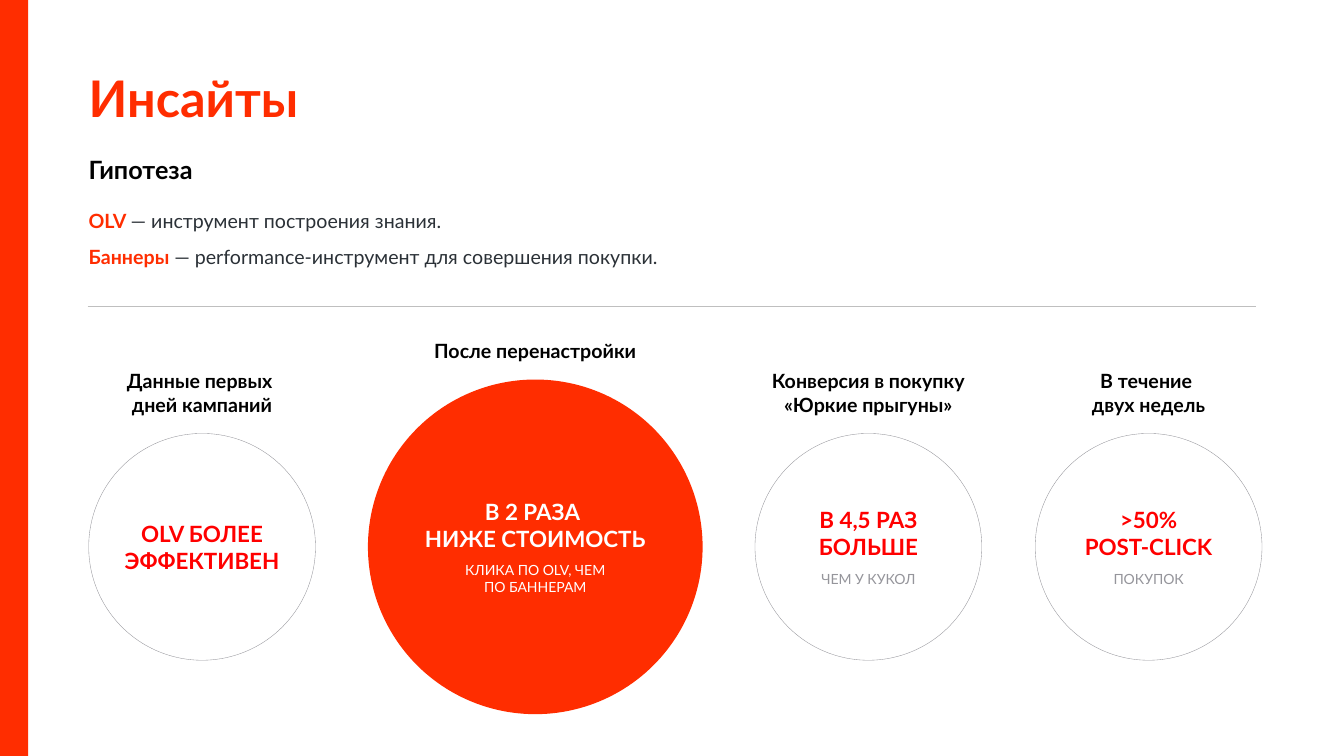
from dataclasses import dataclass

from lxml import etree
from pptx import Presentation
from pptx.dml.color import RGBColor
from pptx.enum.shapes import MSO_CONNECTOR, MSO_SHAPE
from pptx.enum.text import MSO_ANCHOR, PP_ALIGN
from pptx.oxml.ns import qn
from pptx.util import Inches, Pt

OVAL, RECT = MSO_SHAPE.OVAL, MSO_SHAPE.RECTANGLE
STRAIGHT = MSO_CONNECTOR.STRAIGHT
TOP, MIDDLE = MSO_ANCHOR.TOP, MSO_ANCHOR.MIDDLE
LEFT, CENTER = PP_ALIGN.LEFT, PP_ALIGN.CENTER

SLIDE_W, SLIDE_H = Inches(13.333), Inches(7.5)
COLS, ROWS = 160, 90
TITLE_ONLY = 5
CIRCLE_MIDDLE = 65.1
HEADING_GAP = 1.44


@dataclass(frozen=True)
class Theme:
    font: str = "Lato"
    accent: str = "FF2D00"
    value: str = "FF0000"
    black: str = "000000"
    body: str = "2B3137"
    muted: str = "95959B"
    rule: str = "BFBFBF"
    white: str = "FFFFFF"
    title_size: int = 36
    subtitle_size: int = 18
    text_size: int = 14
    value_size: int = 16
    caption_size: int = 10


@dataclass(frozen=True)
class Stat:
    center: float
    heading: tuple
    heading_width: float
    value: tuple
    caption: str = ""
    caption_lines: int = 0
    caption_width: float = 16.56
    value_width: float = 24
    diameter: float = 27
    filled: bool = False


THEME = Theme()

STATS = (
    Stat(24.06, ("Данные первых ", "дней кампаний"), 24,
         ("OLV БОЛЕЕ", "ЭФФЕКТИВЕН")),
    Stat(63.72, ("После перенастройки",), 32.64,
         ("В 2 РАЗА ", "НИЖЕ СТОИМОСТЬ"),
         "КЛИКА ПО OLV, ЧЕМ ПО БАННЕРАМ", 2, caption_width=21.48,
         value_width=29.88, diameter=39.84, filled=True),
    Stat(103.38, ("Конверсия в покупку", "«Юркие прыгуны»"), 31.2,
         ("В 4,5 РАЗ", "БОЛЬШЕ"), "ЧЕМ У КУКОЛ", 1),
    Stat(136.74, ("В течение ", "двух недель"), 22.44,
         (">50%", "POST-CLICK"), "ПОКУПОК", 1),
)


def col(n):
    return round(SLIDE_W * n / COLS)


def row(n):
    return round(SLIDE_H * n / ROWS)


def box(left, top, width, height):
    return col(left), row(top), col(width), row(height)


def text_height(lines, size):
    return 1.2 + lines * size * 0.2


def write(tf, lines, size, color=THEME.black, bold=False, align=LEFT,
          anchor=TOP, spacing=None):
    tf.word_wrap = True
    tf.vertical_anchor = anchor
    tf.margin_left = tf.margin_right = Inches(0.1)
    tf.margin_top = tf.margin_bottom = Inches(0.05)
    for i, line in enumerate(lines):
        p = tf.add_paragraph() if i else tf.paragraphs[0]
        p.alignment = align
        p.line_spacing = spacing
        runs = [(line, color, bold)] if isinstance(line, str) else line
        for text, run_color, run_bold in runs:
            r = p.add_run()
            r.text = text
            r.font.name = THEME.font
            r.font.size = Pt(size)
            r.font.bold = run_bold
            r.font.color.rgb = RGBColor.from_string(run_color)


def add_text(s, place, lines, size, **style):
    sp = s.shapes.add_textbox(*box(*place))
    write(sp.text_frame, lines, size, **style)


def add_title(s, place, text):
    sp = s.shapes.title
    sp.left, sp.top, sp.width, sp.height = box(*place)
    write(sp.text_frame, [text], THEME.title_size, color=THEME.accent,
          bold=True, anchor=MIDDLE)


def add_figure(s, kind, place, fill, line=None):
    sp = s.shapes.add_shape(kind, *box(*place))
    sp.shadow.inherit = False
    sp.fill.solid()
    sp.fill.fore_color.rgb = RGBColor.from_string(fill)
    if line:
        sp.line.color.rgb = RGBColor.from_string(line)
        sp.line.width = Pt(0.25)
    else:
        sp.line.fill.background()


def add_rule(s, left, right, y):
    sp = s.shapes.add_connector(STRAIGHT, col(left), row(y), col(right), row(y))
    sp.line.color.rgb = RGBColor.from_string(THEME.rule)
    sp.line.width = Pt(0.5)
    etree.SubElement(sp._element.spPr, qn("a:effectLst"))


def add_centered(s, center, top, width, height, lines, size, **style):
    add_text(s, (center - width / 2, top, width, height), lines, size,
             align=CENTER, **style)


def add_stat(s, stat):
    d = stat.diameter
    circle_top = CIRCLE_MIDDLE - d / 2
    add_figure(s, OVAL, (stat.center - d / 2, circle_top, d, d),
               THEME.accent if stat.filled else THEME.white,
               None if stat.filled else THEME.muted)

    heading_h = text_height(len(stat.heading), THEME.text_size)
    add_centered(s, stat.center, circle_top - HEADING_GAP - heading_h,
                 stat.heading_width, heading_h, stat.heading,
                 THEME.text_size, bold=True)

    value_h = text_height(len(stat.value), THEME.value_size)
    caption_h = 0
    if stat.caption:
        caption_h = text_height(stat.caption_lines, THEME.caption_size)
    top = CIRCLE_MIDDLE - (value_h + caption_h) / 2
    add_centered(s, stat.center, top, stat.value_width, value_h, stat.value,
                 THEME.value_size, bold=True,
                 color=THEME.white if stat.filled else THEME.value)
    if stat.caption:
        add_centered(s, stat.center, top + value_h, stat.caption_width,
                     caption_h, [stat.caption], THEME.caption_size,
                     color=THEME.white if stat.filled else THEME.muted)


def main():
    prs = Presentation()
    prs.slide_width, prs.slide_height = SLIDE_W, SLIDE_H
    s = prs.slides.add_slide(prs.slide_layouts[TITLE_ONLY])

    add_figure(s, RECT, (0, 0, 3.36, ROWS), THEME.accent)
    add_title(s, (9.36, 7.08, 136.68, 9.12), "Инсайты")
    add_text(s, (9.36, 17.76, 28.2, 4.8), ["Гипотеза"],
             THEME.subtitle_size, bold=True)
    hypotheses = (
        ("OLV ", "— инструмент построения знания."),
        ("Баннеры ", "— performance-инструмент для совершения покупки."),
    )
    add_text(s, (9.36, 22.92, 82.92, 9.72),
             [[(term, THEME.accent, True), (meaning, THEME.body, False)]
              for term, meaning in hypotheses],
             THEME.text_size, spacing=1.5)
    add_rule(s, 10.44, 149.52, 36.48)
    for stat in STATS:
        add_stat(s, stat)

    prs.save("out.pptx")


if __name__ == "__main__":
    main()
